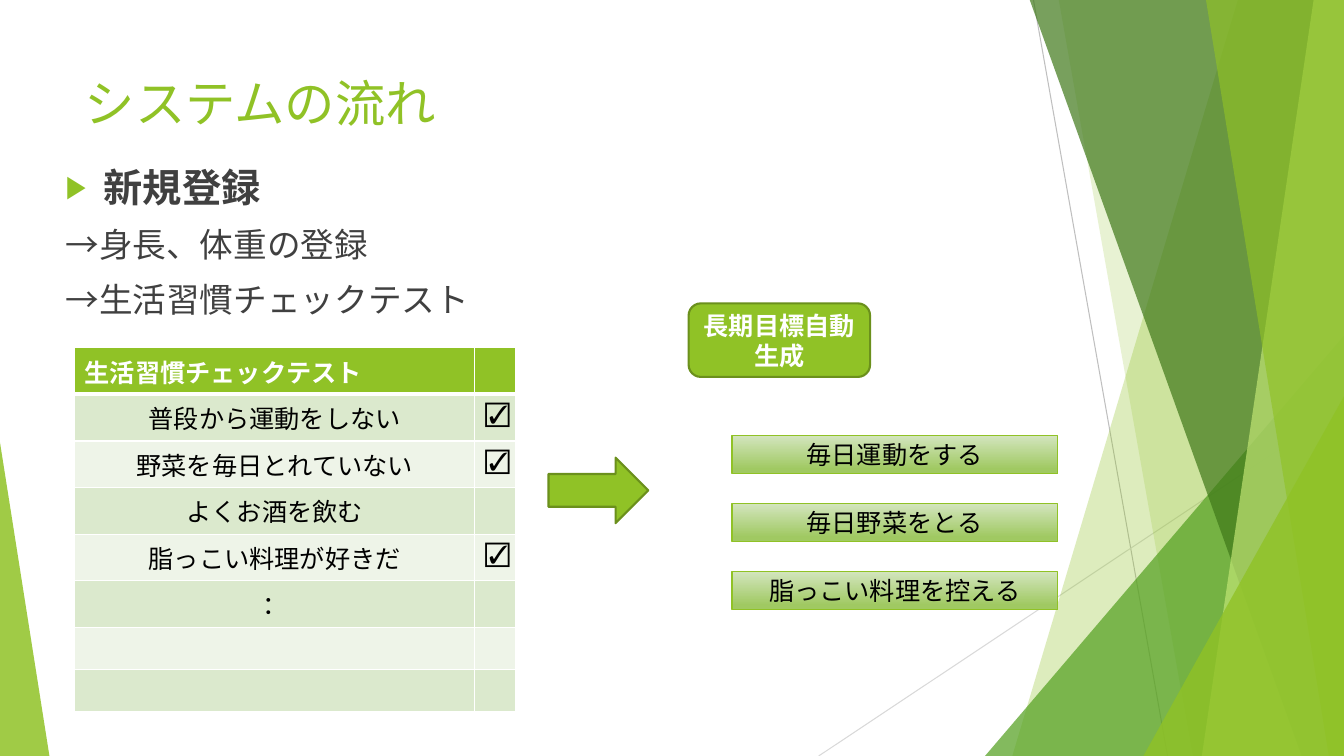
from lxml import etree
from pptx import Presentation
from pptx.dml.color import RGBColor
from pptx.enum.shapes import MSO_CONNECTOR, MSO_SHAPE
from pptx.enum.text import MSO_ANCHOR, MSO_AUTO_SIZE, PP_ALIGN
from pptx.oxml.ns import qn
from pptx.util import Inches, Pt

STRAIGHT = MSO_CONNECTOR.STRAIGHT
TRIANGLE = MSO_SHAPE.ISOSCELES_TRIANGLE
RECT = MSO_SHAPE.RECTANGLE
ROUNDED = MSO_SHAPE.FLOWCHART_ALTERNATE_PROCESS
RIGHT_ARROW = MSO_SHAPE.RIGHT_ARROW
TOP, MIDDLE = MSO_ANCHOR.TOP, MSO_ANCHOR.MIDDLE
NO_AUTOFIT = MSO_AUTO_SIZE.NONE
LEFT, CENTER = PP_ALIGN.LEFT, PP_ALIGN.CENTER

GREEN = RGBColor(0x90, 0xC2, 0x26)
MID_GREEN = RGBColor(0x54, 0xA0, 0x21)
DEEP_GREEN = RGBColor(0x3F, 0x78, 0x19)
LIME = RGBColor(0xC0, 0xE4, 0x74)
EDGE_GREEN = RGBColor(0x6B, 0x90, 0x1C)
GRADIENT = [(0, RGBColor(0xD3, 0xE5, 0xBE)), (0.88, RGBColor(0xA0, 0xC9, 0x62))]
BANDS = [RGBColor(0xEE, 0xF4, 0xE8), RGBColor(0xDB, 0xE9, 0xCD)]
GRAY = RGBColor(0xBF, 0xBF, 0xBF)
PALE_GRAY = RGBColor(0xD9, 0xD9, 0xD9)
TEXT = RGBColor(0x40, 0x40, 0x40)
BLACK = RGBColor(0, 0, 0)
WHITE = RGBColor(0xFF, 0xFF, 0xFF)

FONT = "Karla"
WIDTH, HEIGHT = 13.33, 7.5
CHECKS = [("普段から運動をしない", "☑"), ("野菜を毎日とれていない", "☑"),
          ("よくお酒を飲む", ""), ("脂っこい料理が好きだ", "☑"),
          ("：", ""), ("", ""), ("", "")]
GOALS = ["毎日運動をする", "毎日野菜をとる", "脂っこい料理を控える"]


def add_run(p, text, size, color, bold=False):
    r = p.add_run()
    r.text = text
    r.font.name = FONT
    r.font.size = Pt(size)
    r.font.bold = bold
    r.font.color.rgb = color


def add_child(parent, tag, **attrs):
    return etree.SubElement(parent, qn(tag), attrs)


def add_hairline(slide, x1, y1, x2, y2, color):
    line = slide.shapes.add_connector(STRAIGHT, Inches(x1), Inches(y1), Inches(x2), Inches(y2))
    line.line.color.rgb = color
    line.line.width = Pt(0.75)
    add_child(line._element.spPr, "a:effectLst")


def tint(sp, color, opacity):
    sp.shadow.inherit = False
    sp.fill.solid()
    sp.fill.fore_color.rgb = color
    sp.line.fill.background()
    srgb = sp._element.spPr.find(qn("a:solidFill"))[0]
    add_child(srgb, "a:alpha", val=str(opacity * 1000))


def add_facet(slide, top_x, bottom_x, color, opacity):
    builder = slide.shapes.build_freeform(Inches(top_x), Inches(-0.01))
    points = [(WIDTH, -0.01), (WIDTH, HEIGHT), (bottom_x, HEIGHT)]
    builder.add_line_segments([(Inches(x), Inches(y)) for x, y in points], close=True)
    tint(builder.convert_to_shape(), color, opacity)


def add_corner(slide, left, top, right, apex, color, opacity):
    sp = slide.shapes.add_shape(TRIANGLE, Inches(left), Inches(top),
                                Inches(right - left), Inches(HEIGHT - top))
    sp.adjustments[0] = apex
    tint(sp, color, opacity)


def add_backdrop(slide):
    add_hairline(slide, 10.25, 0, 11.58, HEIGHT, GRAY)
    add_hairline(slide, WIDTH, 4.03, 8.12, HEIGHT, PALE_GRAY)
    add_facet(slide, 12.28, 10.04, GREEN, 30)
    add_facet(slide, 10.5, 11.83, GREEN, 20)
    add_corner(slide, 9.77, 3.33, WIDTH, 1, MID_GREEN, 72)
    add_facet(slide, 10.21, 12.91, DEEP_GREEN, 70)
    add_facet(slide, 13.03, 11.92, LIME, 70)
    add_facet(slide, 11.96, 13.18, GREEN, 65)
    add_corner(slide, 11.34, 3.93, WIDTH, 1, GREEN, 80)
    add_corner(slide, 0, 4.39, 0.49, 0, GREEN, 85)


def place_placeholder(slide, sp, left, top, width, height):
    sp.left, sp.top, sp.width, sp.height = map(Inches, (left, top, width, height))
    slide.shapes._spTree.append(sp._element)
    tf = sp.text_frame
    tf.auto_size = NO_AUTOFIT
    tf.vertical_anchor = TOP
    return tf


def add_title(slide, left, top, width, height):
    tf = place_placeholder(slide, slide.shapes.title, left, top, width, height)
    p = tf.paragraphs[0]
    p.alignment = LEFT
    add_run(p, "システムの流れ", 36, GREEN)


def add_steps(slide, left, top, width, height):
    tf = place_placeholder(slide, slide.placeholders[1], left, top, width, height)
    heading, *steps = [tf.paragraphs[0], tf.add_paragraph(), tf.add_paragraph()]
    add_run(heading, "新規登録", 28, TEXT, True)
    for p, text in zip(steps, ["→身長、体重の登録", "→生活習慣チェックテスト"]):
        add_run(p, text, 24, TEXT)
    for p in tf.paragraphs:
        p.space_before = Pt(10)
        pPr = p._p.get_or_add_pPr()
        indent = Inches(0.38) if p._p is heading._p else 0
        pPr.set("marL", str(indent))
        pPr.set("indent", str(-indent))
        if indent:
            color = add_child(pPr, "a:buClr")
            add_child(color, "a:srgbClr", val=str(GREEN))
            add_child(pPr, "a:buSzPct", val="80000")
            add_child(pPr, "a:buChar", char="▶")
        else:
            add_child(pPr, "a:buNone")


def format_cell(cell, fill, bottom_width):
    cell.fill.solid()
    cell.fill.fore_color.rgb = fill
    tcPr = cell._tc.get_or_add_tcPr()
    edges = [("a:lnL", 1), ("a:lnR", 1), ("a:lnT", 1), ("a:lnB", bottom_width)]
    for i, (tag, width) in enumerate(edges):
        ln = etree.Element(qn(tag), w=str(Pt(width)))
        add_child(add_child(ln, "a:solidFill"), "a:srgbClr", val=str(WHITE))
        tcPr.insert(i, ln)


def add_check_table(slide, left, top, width, height):
    rows = [("生活習慣チェックテスト", "")] + CHECKS
    table = slide.shapes.add_table(len(rows), 2, Inches(left), Inches(top),
                                   Inches(width), Inches(height)).table
    table.columns[0].width = Inches(width - 0.4)
    table.columns[1].width = Inches(0.4)
    for i, row in enumerate(rows):
        table.rows[i].height = Inches(0.42)
        header = i == 0
        for j, text in enumerate(row):
            cell = table.cell(i, j)
            format_cell(cell, GREEN if header else BANDS[i % 2], 3 if header else 1)
            p = cell.text_frame.paragraphs[0]
            p.alignment = LEFT if header or j else CENTER
            if text:
                add_run(p, text, 18, WHITE if header else BLACK, header)


def add_box(slide, kind, left, top, width, height, edge, line_width):
    sp = slide.shapes.add_shape(kind, Inches(left), Inches(top), Inches(width), Inches(height))
    sp.shadow.inherit = False
    sp.fill.solid()
    sp.fill.fore_color.rgb = GREEN
    sp.line.color.rgb = edge
    sp.line.width = Pt(line_width)
    return sp


def add_label(sp, text, color, bold=False):
    tf = sp.text_frame
    tf.word_wrap = True
    tf.vertical_anchor = MIDDLE
    p = tf.paragraphs[0]
    p.alignment = CENTER
    add_run(p, text, 18, color, bold)


def add_goals(slide, left, top):
    sp = add_box(slide, ROUNDED, left, top, 1.8, 0.73, EDGE_GREEN, 1.5)
    add_label(sp, "長期目標自動生成", WHITE, True)
    for i, goal in enumerate(GOALS):
        sp = add_box(slide, RECT, left + 0.43, top + 1.31 + i * 0.675, 3.23, 0.38, GREEN, 1)
        sp.fill.gradient()
        sp.fill.gradient_angle = 270
        for stop, (position, color) in zip(sp.fill.gradient_stops, GRADIENT):
            stop.position = position
            stop.color.rgb = color
        add_label(sp, goal, BLACK)


def main():
    prs = Presentation()
    prs.slide_width, prs.slide_height = Inches(WIDTH), Inches(HEIGHT)
    slide = prs.slides.add_slide(prs.slide_layouts[1])
    add_backdrop(slide)
    add_title(slide, 0.74, 0.67, 9.4, 1.44)
    add_steps(slide, 0.55, 1.57, 9.4, 4.77)
    add_check_table(slide, 0.74, 3.45, 4.37, 3.36)
    add_box(slide, RIGHT_ARROW, 5.44, 4.54, 0.99, 0.65, EDGE_GREEN, 1.5)
    add_goals(slide, 6.83, 3.01)
    prs.save("out.pptx")


if __name__ == "__main__":
    main()
